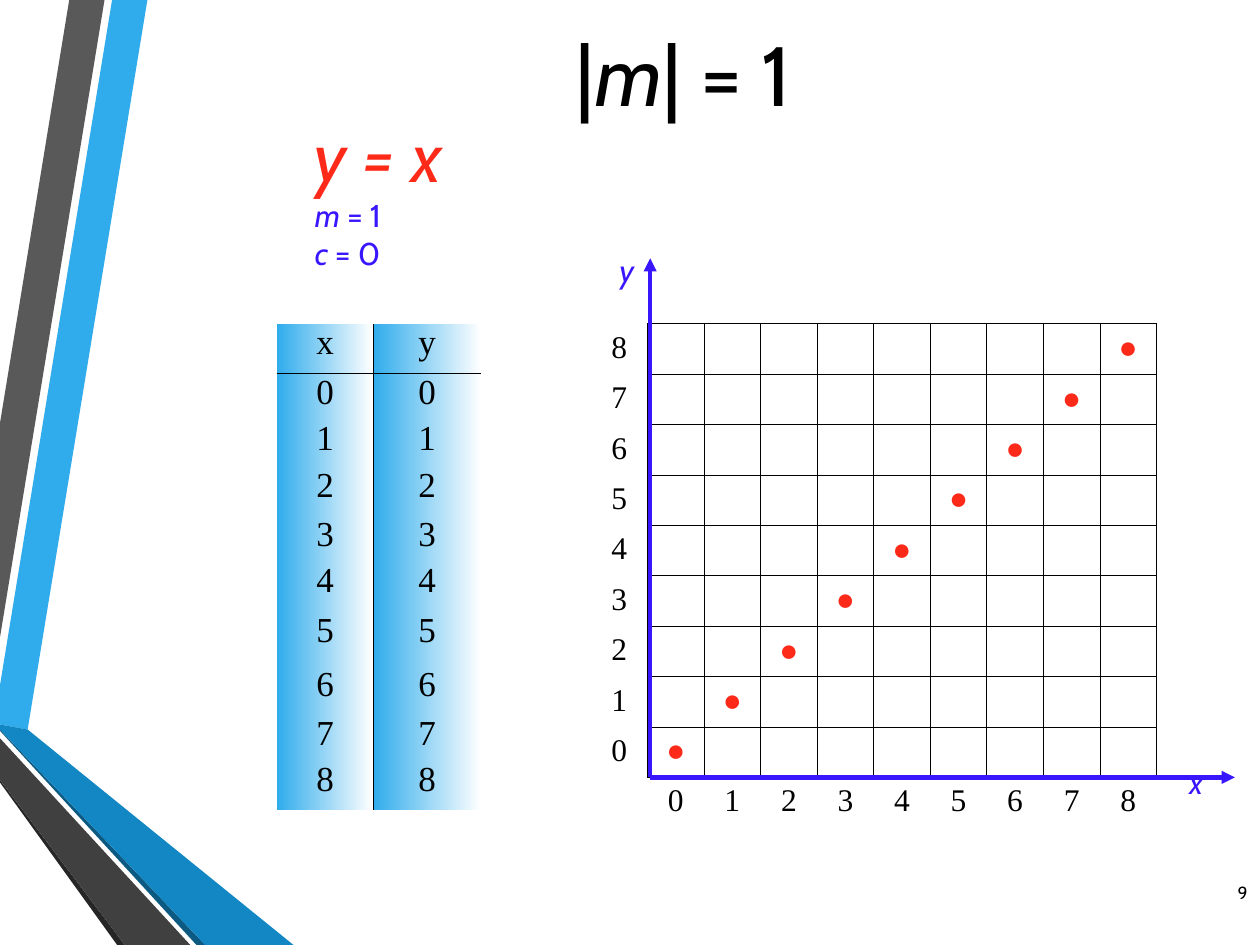
from lxml import etree
from pptx import Presentation
from pptx.dml.color import RGBColor as RGB
from pptx.enum.shapes import MSO_CONNECTOR as Conn
from pptx.enum.text import MSO_ANCHOR as Anchor, MSO_AUTO_SIZE as Auto, PP_ALIGN as Align
from pptx.oxml.ns import qn
from pptx.util import Inches, Pt

C = {"black": "000000", "red": "FD2919", "violet": "3817FF", "sky": "30ACEC",
     "white": "FFFFFF", "gray": "595959", "coal": "262626", "navy": "0C5A82",
     "blue": "1287C3", "dark": "404040"}
BODY, SERIF = "Cabin", "Times New Roman"
NO_STYLE = "{2D5ABB26-0587-4C30-8999-92F81FD0307C}"


def rgb(name):
    return RGB.from_string(C[name])


def set_font(font, size, name, color, italic=False):
    font.size, font.name, font.italic = Pt(size), name, italic
    font.color.rgb = rgb(color)


def add_text(s, box, lines, wrap=False, align=Align.LEFT, anchor=Anchor.TOP):
    """lines: (size, color, [(text, italic), ...]) for each paragraph."""
    sp = s.shapes.add_textbox(*map(Inches, box))
    fill_text(sp, lines, wrap, align, anchor)


def fill_text(sp, lines, wrap, align, anchor):
    tf = sp.text_frame
    tf.word_wrap, tf.auto_size, tf.vertical_anchor = wrap, Auto.NONE, anchor
    for i, (size, color, runs) in enumerate(lines):
        p = tf.add_paragraph() if i else tf.paragraphs[0]
        p.alignment = align
        set_font(p.font, size, BODY, color)
        for text, italic in runs:
            r = p.add_run()
            r.text = text
            set_font(r.font, size, BODY, color, italic)


# Side ribbons
def add_ribbons(s):
    ribbons = [
        ("sky", [(0, 5.44), (0, 5.75), (0.22, 5.79), (1.17, 0), (0.89, 0)]),
        ("gray", [(0.83, 0), (0.55, 0), (0, 3.36), (0, 5.06)]),
        ("coal", [(0, 6.19), (0, 6.21), (0.93, 7.5), (0.99, 7.5)]),
        ("navy", [(0, 5.79), (0, 5.8), (1.56, 7.5), (1.63, 7.5)]),
        ("blue", [(0, 5.79), (1.63, 7.5), (2.33, 7.5), (0.22, 5.79), (0, 5.75)]),
        ("dark", [(0, 6.19), (0.99, 7.5), (1.51, 7.5), (0, 5.86)]),
    ]
    for color, points in ribbons:
        (x, y), *rest = [(Inches(a), Inches(b)) for a, b in points]
        builder = s.shapes.build_freeform(x, y)
        builder.add_line_segments(rest, close=True)
        sp = builder.convert_to_shape()
        sp.shadow.inherit = False
        sp.fill.solid()
        sp.fill.fore_color.rgb = rgb(color)
        sp.line.fill.background()


# Tables
def add_plain_table(s, x, y, widths, heights):
    frame = s.shapes.add_table(len(heights), len(widths), Inches(x), Inches(y),
                               Inches(sum(widths)), Inches(sum(heights)))
    table = frame.table
    table.first_row = table.horz_banding = False
    frame._element.find(".//" + qn("a:tableStyleId")).text = NO_STYLE
    for col, width in zip(table.columns, widths):
        col.width = Inches(width)
    for row, height in zip(table.rows, heights):
        row.height = Inches(height)
    return table


def set_borders(cell, sides):
    tcPr = cell._tc.get_or_add_tcPr()
    for i, side in enumerate("LRTB"):
        ln = etree.Element(qn("a:ln" + side), w=str(Pt(0.45)))
        if side in sides:
            fill = etree.SubElement(ln, qn("a:solidFill"))
            etree.SubElement(fill, qn("a:srgbClr"), val=C["black"])
        else:
            etree.SubElement(ln, qn("a:noFill"))
        tcPr.insert(i, ln)


def set_cell(cell, text, size, before, font=SERIF, color="black", spacing=None):
    p = cell.text_frame.paragraphs[0]
    p.alignment, p.space_before, p.line_spacing = Align.CENTER, Pt(before), spacing
    set_font(p.font, size, font, color)
    if text:
        r = p.add_run()
        r.text = text
        set_font(r.font, size, font, color)


def add_value_table(s, x, y):
    heights = [0.39, 0.37, 0.37, 0.39, 0.37, 0.39, 0.43, 0.39, 0.37, 0.39]
    table = add_plain_table(s, x, y, [0.76, 0.86], heights)
    rows = [("x", "y")] + [(str(n), str(n)) for n in range(9)]
    for i, values in enumerate(rows):
        for j, value in enumerate(values):
            cell = table.cell(i, j)
            set_cell(cell, value, 20, 5, spacing=0.8)
            cell.fill.gradient()
            cell.fill.gradient_angle = 0
            for stop, color in zip(cell.fill.gradient_stops, ("sky", "white")):
                stop.color.rgb = rgb(color)
            set_borders(cell, "RL"[j] + {0: "B", 1: "T"}.get(i, ""))


# Plot: grid of dots with axis numbers, arrows and axis names
def add_axis(s, start, end):
    line = s.shapes.add_connector(Conn.STRAIGHT, *map(Inches, start + end))
    line.line.color.rgb = rgb("violet")
    line.line.width = Pt(2.49)
    etree.SubElement(line.line._get_or_add_ln(), qn("a:tailEnd"), type="triangle")
    etree.SubElement(line._element.spPr, qn("a:effectLst"))


def add_plot(s, x, y, size=9):
    n = size + 1
    table = add_plain_table(s, x, y, [0.449] * n, [0.4] * n)
    for i in range(n):
        for j in range(n):
            cell = table.cell(i, j)
            cell.fill.background()
            number = size - 1 - i if j == 0 else j - 1
            if i + j == size and 0 < j:
                set_cell(cell, "●", 18, 4.5, "Arial", "red")
            elif (j == 0) != (i == size):
                set_cell(cell, str(number), 18, 4.5)
            else:
                set_cell(cell, "", 18, 0)
            if i < size:
                set_borders(cell, "LRTB" if j else "R")
            else:
                set_borders(cell, "T" if j else "")

    origin = (x + 0.47, y + 3.6)
    add_axis(s, origin, (x + 0.47, y - 0.52))
    add_text(s, (x + 0.13, y - 0.63, 0.31, 0.4), [(18, "violet", [("y", True)])])
    add_axis(s, origin, (x + 5.11, y + 3.6))
    add_text(s, (x + 4.65, y + 3.44, 0.32, 0.4), [(18, "violet", [("x", True)])])


def add_title(s, box):
    sp = s.shapes.title
    sp.left, sp.top, sp.width, sp.height = map(Inches, box)
    runs = [("|", False), ("m", True), ("| = 1", False)]
    fill_text(sp, [(48, "black", runs)], True, Align.LEFT, Anchor.TOP)


def add_equation(s, box):
    add_text(s, box, [
        (40, "red", [("y = x", True)]),
        (18, "violet", [("m ", True), ("= 1", False)]),
        (18, "violet", [("c ", True), ("= 0", False)]),
    ])


prs = Presentation()
prs.slide_width, prs.slide_height = Inches(10), Inches(7.5)
s = prs.slides.add_slide(prs.slide_layouts[5])
add_ribbons(s)
add_value_table(s, 2.2, 2.57)
add_text(s, (7.92, 6.83, 2.08, 0.5), [(10, "black", [("9", False)])],
         wrap=True, align=Align.RIGHT, anchor=Anchor.MIDDLE)
add_plot(s, 4.69, 2.57)
add_equation(s, (2.4, 0.84, 1.33, 1.37))
add_title(s, (4.47, 0.13, 2.44, 1.7))
prs.save("out.pptx")
